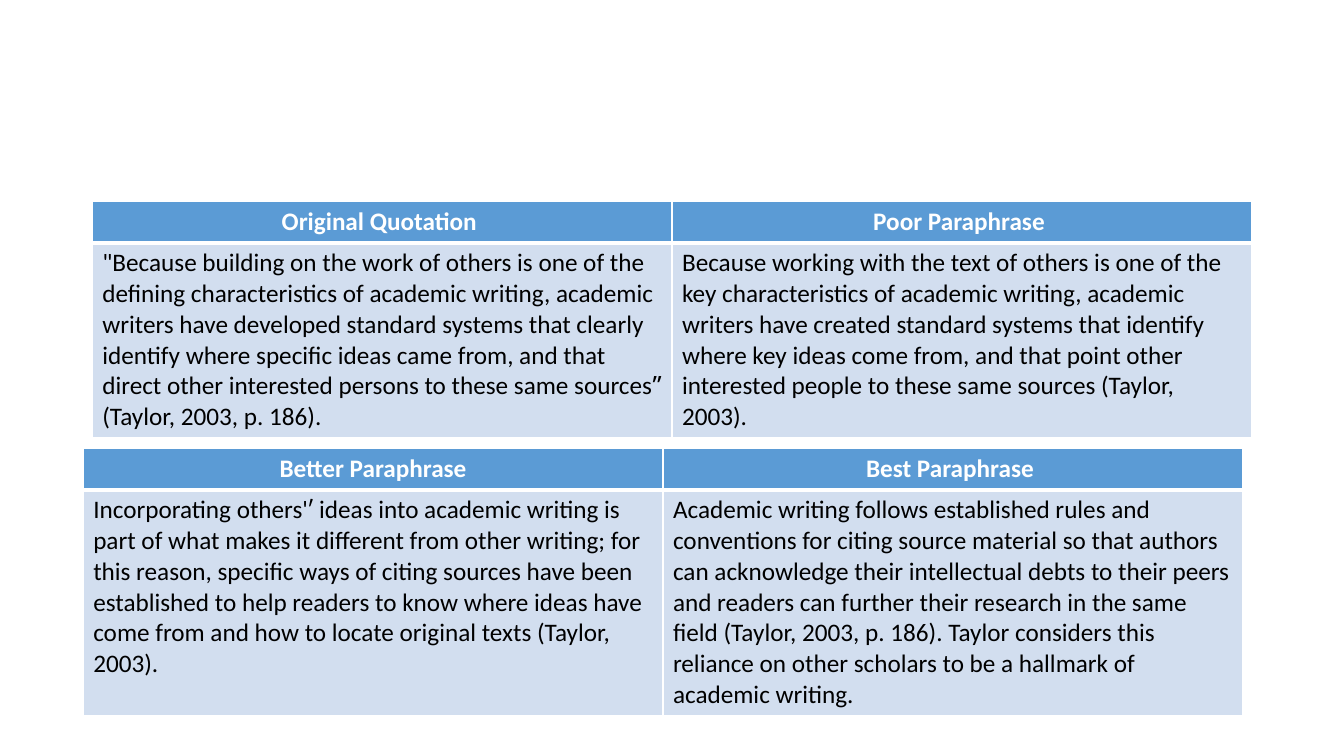
from dataclasses import dataclass

from lxml import etree
from pptx import Presentation
from pptx import util as u
from pptx.dml.color import RGBColor
from pptx.enum import text
from pptx.oxml import ns


@dataclass(frozen=True)
class Theme:
    header_fill: str = "5B9BD5"
    body_fill: str = "D2DEEF"
    header_text: str = "FFFFFF"
    body_text: str = "000000"
    border: str = "FFFFFF"
    font: str = "Calibri"
    size: float = 18
    thin: float = 1
    thick: float = 3


THEME = Theme()
SLIDE_WIDTH, SLIDE_HEIGHT = 13.33, 7.5
TABLE_WIDTH = 11.5
HEADER_HEIGHT = 0.41

QUOTATION_PAIR = {
    "Original Quotation ": (
        "\"Because building on the work of others is one of the defining "
        "characteristics of academic writing, academic writers have developed "
        "standard systems that clearly identify where specific ideas came from, "
        "and that direct other interested persons to these same sourcesʺ "
        "(Taylor, 2003, p. 186)."
    ),
    "Poor Paraphrase ": (
        "Because working with the text of others is one of the key "
        "characteristics of academic writing, academic writers have created "
        "standard systems that identify where key ideas come from, and that "
        "point other interested people to these same sources (Taylor, 2003)."
    ),
}
PARAPHRASE_PAIR = {
    "Better Paraphrase": (
        "Incorporating others'ʹ ideas into academic writing is part of what "
        "makes it different from other writing; for this reason, specific ways "
        "of citing sources have been established to help readers to know where "
        "ideas have come from and how to locate original texts (Taylor, 2003)."
    ),
    "Best Paraphrase ": (
        "Academic writing follows established rules and conventions for citing "
        "source material so that authors can acknowledge their intellectual "
        "debts to their peers and readers can further their research in the "
        "same field (Taylor, 2003, p. 186). Taylor considers this reliance on "
        "other scholars to be a hallmark of academic writing."
    ),
}


def set_borders(cell, bottom_width):
    properties = cell._tc.get_or_add_tcPr()
    widths = {"L": THEME.thin, "R": THEME.thin, "T": THEME.thin, "B": bottom_width}
    for index, (side, width) in enumerate(widths.items()):
        line = etree.Element(ns.qn(f"a:ln{side}"), w=str(u.Pt(width)))
        fill = etree.SubElement(line, ns.qn("a:solidFill"))
        etree.SubElement(fill, ns.qn("a:srgbClr"), val=THEME.border)
        properties.insert(index, line)


def fill_cell(cell, content, is_header):
    cell.fill.solid()
    cell.fill.fore_color.rgb = RGBColor.from_string(
        THEME.header_fill if is_header else THEME.body_fill)
    set_borders(cell, THEME.thick if is_header else THEME.thin)
    paragraph = cell.text_frame.paragraphs[0]
    paragraph.alignment = text.PP_ALIGN.CENTER if is_header else text.PP_ALIGN.LEFT
    run = paragraph.add_run()
    run.text = content
    run.font.name = THEME.font
    run.font.size = u.Pt(THEME.size)
    run.font.bold = is_header
    run.font.color.rgb = RGBColor.from_string(
        THEME.header_text if is_header else THEME.body_text)


def add_comparison(slide, passages, left, top, width, height):
    """Place a table with one headed column for each passage."""
    frame = slide.shapes.add_table(
        2, len(passages), *map(u.Inches, (left, top, width, height)))
    table = frame.table
    for column in table.columns:
        column.width = u.Inches(width / len(passages))
    table.rows[0].height = u.Inches(HEADER_HEIGHT)
    table.rows[1].height = u.Inches(height - HEADER_HEIGHT)
    for column, passage in enumerate(passages.items()):
        for row, content in enumerate(passage):
            fill_cell(table.cell(row, column), content, is_header=row == 0)


def main():
    presentation = Presentation()
    presentation.slide_width = u.Inches(SLIDE_WIDTH)
    presentation.slide_height = u.Inches(SLIDE_HEIGHT)
    slide = presentation.slides.add_slide(presentation.slide_layouts[6])
    centred_left = (SLIDE_WIDTH - TABLE_WIDTH) / 2
    add_comparison(slide, QUOTATION_PAIR, centred_left, 2, TABLE_WIDTH, 2.31)
    add_comparison(slide, PARAPHRASE_PAIR, centred_left - 0.09, 4.45, TABLE_WIDTH, 2.61)
    presentation.save("out.pptx")


if __name__ == "__main__":
    main()
